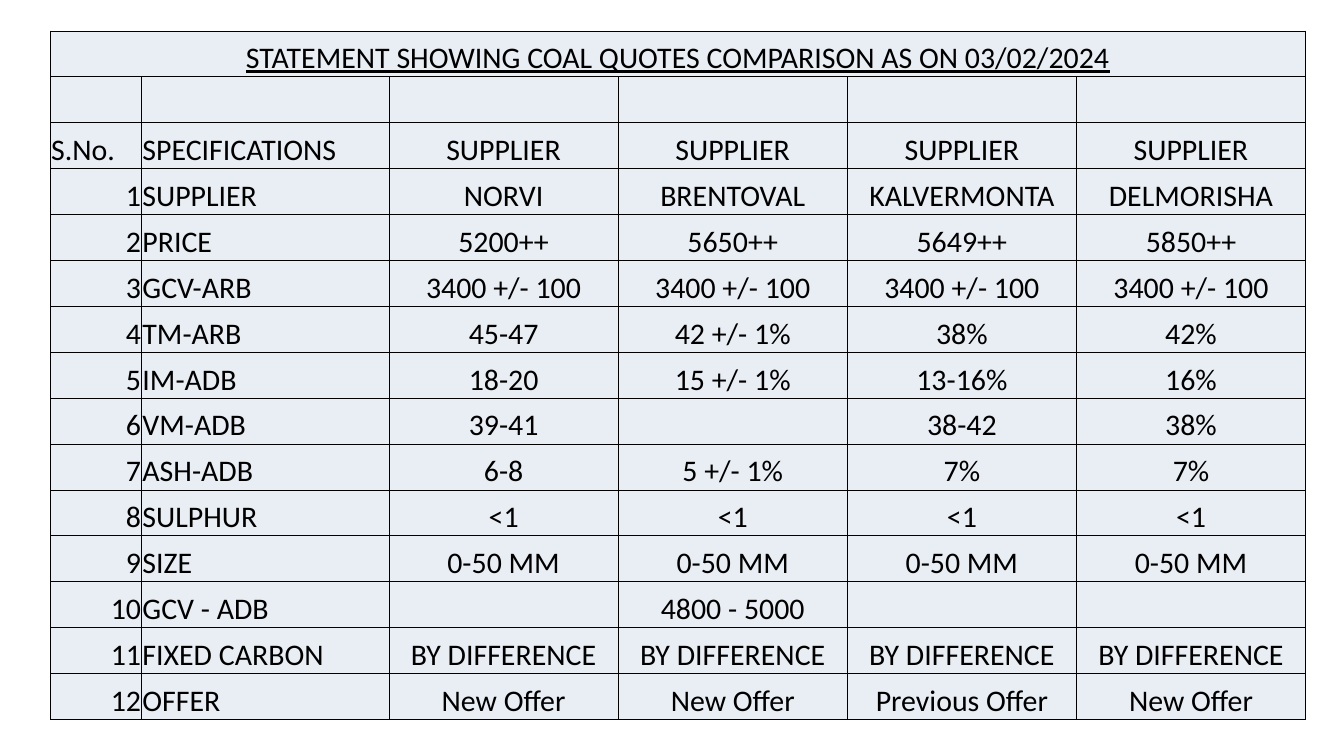
from dataclasses import dataclass

from lxml import etree
from pptx import Presentation
from pptx.dml.color import RGBColor
from pptx.enum.text import MSO_ANCHOR, PP_ALIGN
from pptx.oxml.ns import qn
from pptx.table import Table, _Cell
from pptx.util import Pt

LEFT, CENTER, RIGHT = PP_ALIGN.LEFT, PP_ALIGN.CENTER, PP_ALIGN.RIGHT
BOTTOM = MSO_ANCHOR.BOTTOM
PX = 9144
BLANK_LAYOUT = 6


@dataclass(frozen=True)
class Theme:
    font: str = "Calibri"
    size: int = 32
    ink: str = "000000"
    cell_fill: str = "E9EDF4"
    border_width: int = 1


@dataclass(frozen=True)
class Specification:
    label: str
    quotes: tuple[str, ...]


THEME = Theme()
SLIDE_WIDTH, SLIDE_HEIGHT = 2000, 1125
TABLE_LEFT, TABLE_TOP, TABLE_HEIGHT = 75, 46, 1025
SUPPLIER_COUNT = 4
COLUMN_WIDTHS = [136, 368] + [341] * SUPPLIER_COUNT
INSET = 1

STATEMENT_TITLE = "STATEMENT SHOWING COAL QUOTES COMPARISON AS ON 03/02/2024"
SPECIFICATIONS = [
    Specification("SUPPLIER", ("NORVI", "BRENTOVAL", "KALVERMONTA", "DELMORISHA")),
    Specification("PRICE", ("5200++", "5650++", "5649++", "5850++")),
    Specification("GCV-ARB", ("3400 +/- 100",) * SUPPLIER_COUNT),
    Specification("TM-ARB", ("45-47", "42 +/- 1%", "38%", "42%")),
    Specification("IM-ADB", ("18-20", "15 +/- 1%", "13-16%", "16%")),
    Specification("VM-ADB", ("39-41", "", "38-42", "38%")),
    Specification("ASH-ADB", ("6-8", "5 +/- 1%", "7%", "7%")),
    Specification("SULPHUR", ("<1",) * SUPPLIER_COUNT),
    Specification("SIZE", ("0-50 MM",) * SUPPLIER_COUNT),
    Specification("GCV - ADB", ("", "4800 - 5000", "", "")),
    Specification("FIXED CARBON", ("BY DIFFERENCE",) * SUPPLIER_COUNT),
    Specification("OFFER", ("New Offer", "New Offer", "Previous Offer", "New Offer")),
]


def style_cell(cell: _Cell) -> None:
    properties = cell._tc.get_or_add_tcPr()
    for side in ("a:lnL", "a:lnR", "a:lnT", "a:lnB"):
        border = etree.SubElement(properties, qn(side), w=str(Pt(THEME.border_width)))
        border_fill = etree.SubElement(border, qn("a:solidFill"))
        etree.SubElement(border_fill, qn("a:srgbClr"), val=THEME.ink)
    cell.fill.solid()
    cell.fill.fore_color.rgb = RGBColor.from_string(THEME.cell_fill)
    cell.margin_left = cell.margin_right = cell.margin_top = INSET * PX
    cell.margin_bottom = 0
    cell.vertical_anchor = BOTTOM


def write_cell(cell: _Cell, text: str, alignment: PP_ALIGN, underline: bool = False) -> None:
    cell.text = text
    paragraph = cell.text_frame.paragraphs[0]
    paragraph.alignment = alignment
    paragraph.font.name = THEME.font
    paragraph.font.size = Pt(THEME.size)
    paragraph.font.color.rgb = RGBColor.from_string(THEME.ink)
    paragraph.font.underline = underline


def write_row(table: Table, row: int, number: str, number_alignment: PP_ALIGN,
              specification: Specification) -> None:
    write_cell(table.cell(row, 0), number, number_alignment)
    write_cell(table.cell(row, 1), specification.label, LEFT)
    for column, quote in enumerate(specification.quotes, start=2):
        write_cell(table.cell(row, column), quote, CENTER)


def main() -> None:
    presentation = Presentation()
    presentation.slide_width = SLIDE_WIDTH * PX
    presentation.slide_height = SLIDE_HEIGHT * PX
    slide = presentation.slides.add_slide(presentation.slide_layouts[BLANK_LAYOUT])

    row_count = len(SPECIFICATIONS) + 3
    quotes_table = slide.shapes.add_table(
        row_count, len(COLUMN_WIDTHS), TABLE_LEFT * PX, TABLE_TOP * PX,
        sum(COLUMN_WIDTHS) * PX, TABLE_HEIGHT * PX,
    ).table
    quotes_table.first_row = False
    quotes_table.horz_banding = False
    for column, width in zip(quotes_table.columns, COLUMN_WIDTHS):
        column.width = width * PX
    for cell in quotes_table.iter_cells():
        style_cell(cell)

    statement = quotes_table.cell(0, 0)
    statement.merge(quotes_table.cell(0, len(COLUMN_WIDTHS) - 1))
    write_cell(statement, STATEMENT_TITLE, CENTER, underline=True)

    headings = Specification("SPECIFICATIONS", ("SUPPLIER",) * SUPPLIER_COUNT)
    write_row(quotes_table, 2, "S.No.", LEFT, headings)
    for number, specification in enumerate(SPECIFICATIONS, start=1):
        write_row(quotes_table, number + 2, str(number), RIGHT, specification)

    presentation.save("out.pptx")


if __name__ == "__main__":
    main()
